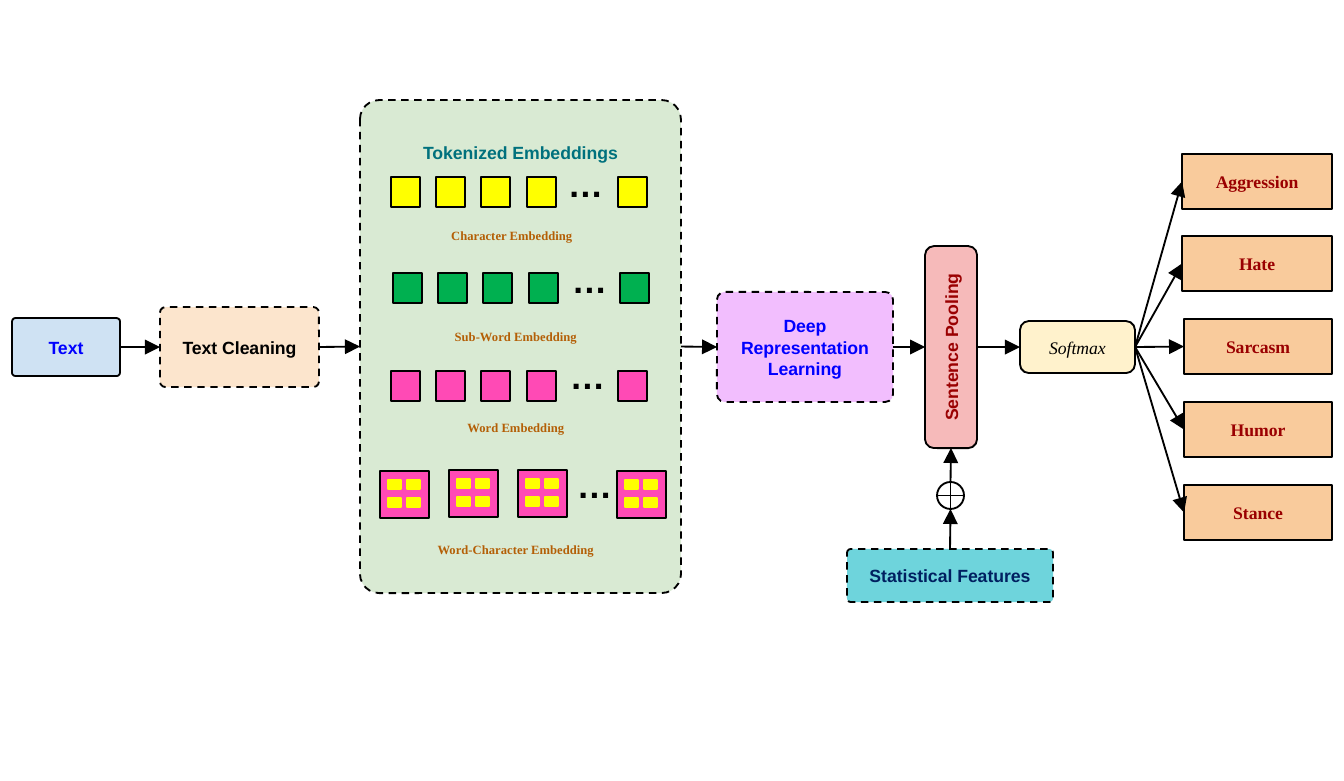
from dataclasses import dataclass
from itertools import product
from typing import Optional

from pptx import Presentation
from pptx import util as u
from pptx.dml.color import RGBColor
from pptx.enum import dml, shapes, text
from pptx.oxml import parse_xml
from pptx.oxml.ns import nsdecls

SCALE = 5035  # EMU per px
TOP, LEFT, BOTTOM, RIGHT = range(4)
KIND = shapes.MSO_SHAPE


@dataclass(frozen=True)
class Theme:
    black: str = "000000"
    white: str = "FFFFFF"
    blue: str = "0000FF"
    navy: str = "002060"
    teal: str = "00717D"
    brown: str = "B45F06"
    dark_red: str = "9A0001"
    yellow: str = "FFFF00"
    green: str = "00B050"
    pink: str = "FF4AB5"
    sky: str = "CFE2F3"
    cream: str = "FCE5CD"
    sage: str = "D9EAD3"
    lilac: str = "F2BEFE"
    rose: str = "F6BABA"
    lemon: str = "FFF2CC"
    orange: str = "F9CB9C"
    aqua: str = "6ED4DC"
    sans: str = "Arial"
    serif: str = "Times New Roman"
    label: float = 7
    caption: float = 5
    dots: float = 14
    line: float = 0.75


T = Theme()


@dataclass(frozen=True)
class Style:
    color: str = T.black
    font: str = T.sans
    size: float = T.label
    bold: bool = True
    italic: bool = False


@dataclass(frozen=True)
class Box:
    x: int
    y: int
    w: int
    h: int
    fill: str
    label: str = ""
    style: Style = Style()
    kind: KIND = KIND.RECTANGLE
    corner: Optional[float] = None
    dashed: bool = False
    turn: int = 0
    line: str = T.black
    title_top: Optional[int] = None


@dataclass(frozen=True)
class TokenRow:
    x: int
    y: int
    fill: str
    dots_x: int
    dots_y: int


@dataclass(frozen=True)
class Caption:
    x: int
    y: int
    label: str


def px(n: int) -> u.Emu:
    return u.Emu(n * SCALE)


def write(tf, label: str, style: Style) -> None:
    p = tf.paragraphs[0]
    r = p.add_run()
    r.text = label
    r.font.name, r.font.size = style.font, u.Pt(style.size)
    r.font.bold, r.font.italic = style.bold, style.italic
    r.font.color.rgb = RGBColor.from_string(style.color)


def set_frame(tf, top: int = 18) -> None:
    tf.word_wrap = True
    tf.margin_left = tf.margin_right = tf.margin_bottom = px(18)
    tf.margin_top = px(top)
    tf.vertical_anchor = text.MSO_ANCHOR.MIDDLE
    tf.paragraphs[0].alignment = text.PP_ALIGN.CENTER


def add_box(parent, b: Box):
    kind = b.kind if b.corner is None else KIND.ROUNDED_RECTANGLE
    sp = parent.shapes.add_shape(kind, px(b.x), px(b.y), px(b.w), px(b.h))
    sp.shadow.inherit = False
    if b.corner is not None:
        sp.adjustments[0] = b.corner
    sp.rotation = b.turn
    sp.fill.solid()
    sp.fill.fore_color.rgb = RGBColor.from_string(b.fill)
    sp.line.color.rgb = RGBColor.from_string(b.line)
    sp.line.width = u.Pt(T.line)
    if b.dashed:
        sp.line.dash_style = dml.MSO_LINE.DASH
    if b.label:
        set_frame(sp.text_frame, b.title_top or 18)
        if b.title_top is not None:
            sp.text_frame.vertical_anchor = text.MSO_ANCHOR.TOP
        write(sp.text_frame, b.label, b.style)
    return sp


def add_dots(parent, x: int, y: int) -> None:
    tf = parent.shapes.add_textbox(px(x), px(y), px(73), px(62)).text_frame
    tf.word_wrap = False
    tf.auto_size = text.MSO_AUTO_SIZE.SHAPE_TO_FIT_TEXT
    write(tf, "…", Style(size=T.dots))


def add_caption(parent, c: Caption) -> None:
    tf = parent.shapes.add_textbox(px(c.x), px(c.y), px(272), px(45)).text_frame
    set_frame(tf)
    write(tf, c.label, Style(T.brown, T.serif, T.caption))


def add_token_row(parent, row: TokenRow) -> None:
    group = parent.shapes.add_group_shape()
    for slot in (0, 1, 2, 3, 5):  # the ellipsis takes slot 4
        add_box(group, Box(row.x + slot * 227 // 5, row.y, 29, 30, row.fill))
    add_dots(group, row.dots_x, row.dots_y)


def add_word_tile(parent, x: int, y: int) -> None:
    group = parent.shapes.add_group_shape()
    add_box(group, Box(x, y, 49, 47, T.pink))
    for row, col in product(range(2), repeat=2):
        add_box(group, Box(x + 8 + 19 * col, y + 9 + 18 * row, 13, 9,
                           T.yellow, line=T.yellow))


def side_point(sp, side: int) -> tuple[int, int]:
    """Middle of a side as seen after rotation."""
    w, h = (sp.height, sp.width) if sp.rotation else (sp.width, sp.height)
    cx, cy = sp.left + sp.width // 2, sp.top + sp.height // 2
    dx, dy = ((0, -1), (-1, 0), (0, 1), (1, 0))[side]
    return cx + dx * w // 2, cy + dy * h // 2


def site(sp, side: int) -> int:
    return (side + 3) % 4 if sp.rotation else side


def add_arrow(parent, a, a_side: int, b, b_side: int) -> None:
    start, end = side_point(a, a_side), side_point(b, b_side)
    c = parent.shapes.add_connector(shapes.MSO_CONNECTOR.STRAIGHT, *start, *end)
    if a.auto_shape_type != KIND.FLOWCHART_OR:
        c.begin_connect(a, site(a, a_side))
    if b.auto_shape_type != KIND.FLOWCHART_OR:
        c.end_connect(b, site(b, b_side))
    c.begin_x, c.begin_y = start
    c.end_x, c.end_y = end
    c.line.color.rgb = RGBColor.from_string(T.black)
    c.line.width = u.Pt(T.line)
    c.line._get_or_add_ln().append(
        parse_xml(f'<a:tailEnd {nsdecls("a")} type="triangle"/>'))
    c._element.spPr.append(parse_xml(f'<a:effectLst {nsdecls("a")}/>'))


BLUE, RED = Style(T.blue), Style(T.dark_red)
RED_SERIF = Style(T.dark_red, T.serif)
SOFTMAX = Style(font=T.serif, bold=False, italic=True)

PIPELINE = (
    Box(12, 318, 108, 58, T.sky, "Text", BLUE, corner=0.06),
    Box(160, 307, 159, 80, T.cream, "Text Cleaning", corner=0.07, dashed=True),
    Box(360, 100, 321, 493, T.sage, "Tokenized Embeddings", Style(T.teal),
        corner=0.06, dashed=True, title_top=36),
    Box(717, 292, 176, 110, T.lilac, "Deep Representation Learning", BLUE,
        corner=0.07, dashed=True),
    Box(850, 321, 202, 52, T.rose, "Sentence Pooling", RED, corner=0.17, turn=270),
    Box(1020, 321, 115, 52, T.lemon, "Softmax", SOFTMAX, corner=0.17),
)
STATISTICS = Box(847, 549, 206, 53, T.aqua, "Statistical Features", Style(T.navy),
                 corner=0.07, dashed=True)
JUNCTION = Box(937, 482, 27, 27, T.white, kind=KIND.FLOWCHART_OR)
TOKEN_ROWS = (
    TokenRow(391, 177, T.yellow, 550, 153),
    TokenRow(393, 273, T.green, 554, 249),
    TokenRow(391, 371, T.pink, 552, 345),
)
CAPTIONS = (
    Caption(376, 213, "Character Embedding"),
    Caption(380, 314, "Sub-Word Embedding"),
    Caption(380, 405, "Word Embedding"),
    Caption(380, 527, "Word-Character Embedding"),
)
WORD_TILES = ((380, 471), (449, 470), (518, 470), (617, 471))
OUTPUTS = (("Aggression", 1182), ("Hate", 1182), ("Sarcasm", 1184),
           ("Humor", 1184), ("Stance", 1184))


def main() -> None:
    prs = Presentation()
    prs.slide_width, prs.slide_height = u.Inches(7.4), u.Inches(4.3)
    s = prs.slides.add_slide(prs.slide_layouts[6])

    # Main pipeline
    stages = [add_box(s, b) for b in PIPELINE]
    for a, b in zip(stages, stages[1:]):
        add_arrow(s, a, RIGHT, b, LEFT)
    pooling, softmax = stages[-2:]

    # Embeddings inside the panel
    for row in TOKEN_ROWS:
        add_token_row(s, row)
    for caption in CAPTIONS:
        add_caption(s, caption)
    add_dots(s, 559, 454)
    for x, y in WORD_TILES:
        add_word_tile(s, x, y)

    # Statistical features joining the pooling
    statistics, junction = add_box(s, STATISTICS), add_box(s, JUNCTION)
    add_arrow(s, statistics, TOP, junction, BOTTOM)
    add_arrow(s, junction, TOP, pooling, BOTTOM)

    # Output classes
    for i, (label, x) in enumerate(OUTPUTS):
        output = add_box(s, Box(x, 154 + i * 331 // 4, 1332 - x, 55, T.orange,
                                label, RED_SERIF))
        add_arrow(s, softmax, RIGHT, output, LEFT)

    prs.save("out.pptx")


if __name__ == "__main__":
    main()
